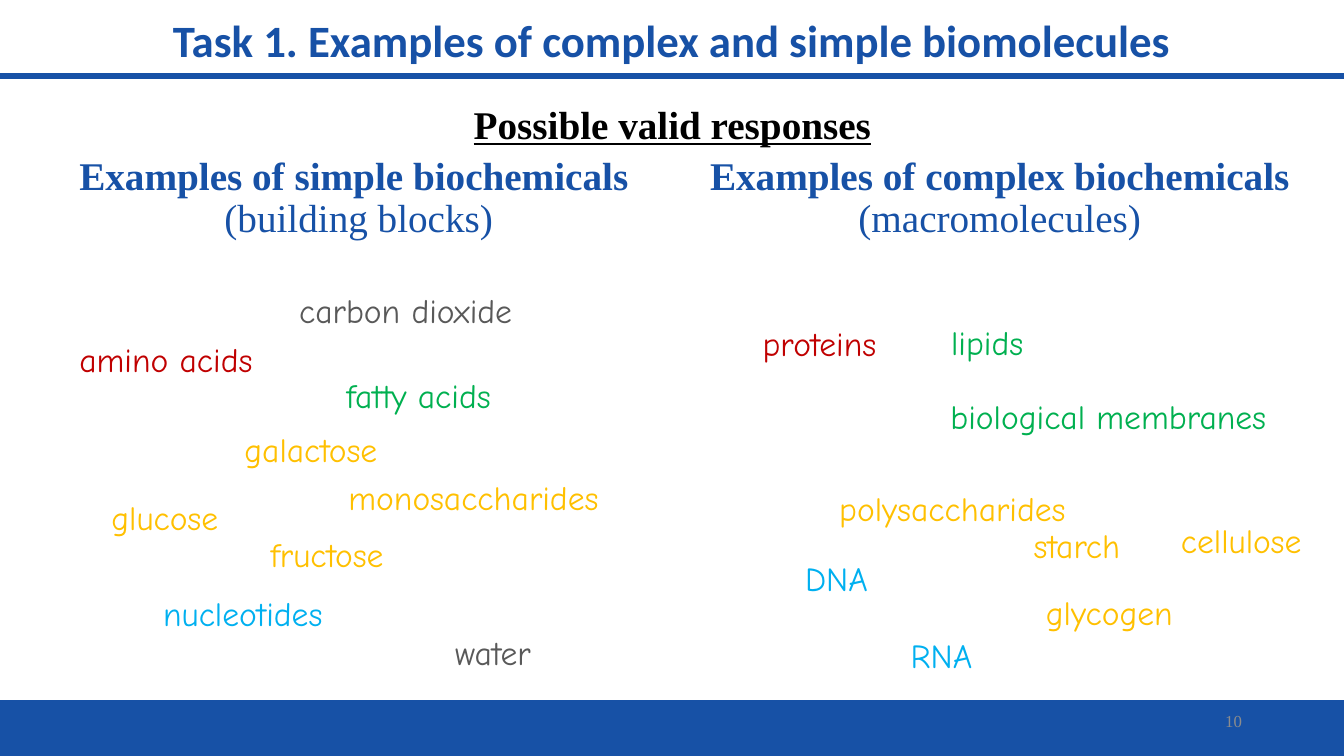
import pptx
import pptx.dml.color
import pptx.enum.shapes
import pptx.enum.text
import pptx.util

Cm = pptx.util.Cm
ALIGN = pptx.enum.text.PP_ALIGN
ANCHOR = pptx.enum.text.MSO_ANCHOR

WIDTH, HEIGHT = 33.87, 19.05
SERIF, SANS, HAND = "Times New Roman", "Calibri", "Comic Neue"
COLORS = {
    "brand": "1751A6",
    "heading": "000000",
    "page": "8C8C8C",
    "inorganic": "595959",
    "protein": "C00000",
    "lipid": "00B050",
    "sugar": "FFC000",
    "nucleic": "00B0F0",
}

# Each word: text, colour, left and top within its column, width (cm)
SIMPLE_WORDS = [
    ("carbon dioxide", "inorganic", 5.77, 3.38, 6.38),
    ("amino acids", "protein", 0.23, 4.6, 5.03),
    ("fatty acids", "lipid", 6.96, 5.51, 4.93),
    ("galactose", "sugar", 4.39, 6.88, 4.24),
    ("monosaccharides", "sugar", 7.01, 8.08, 7.21),
    ("glucose", "sugar", 1.04, 8.59, 3.43),
    ("fructose", "sugar", 5.05, 9.53, 3.99),
    ("nucleotides", "nucleic", 2.34, 11, 5.03),
    ("water", "inorganic", 9.7, 11.99, 2.82),
]
COMPLEX_WORDS = [
    ("proteins", "protein", 1.65, 4.19, 3.81),
    ("lipids", "lipid", 6.4, 4.17, 2.62),
    ("biological membranes", "lipid", 6.38, 6.05, 8.94),
    ("polysaccharides", "sugar", 3.58, 8.36, 6.81),
    ("starch", "sugar", 8.48, 9.3, 3.1),
    ("cellulose", "sugar", 12.19, 9.17, 3.91),
    ("DNA", "nucleic", 2.72, 10.13, 2.44),
    ("glycogen", "sugar", 8.79, 10.97, 3.91),
    ("RNA", "nucleic", 5.38, 12.07, 2.44),
]


def color(name):
    return pptx.dml.color.RGBColor.from_string(COLORS[name])


def write(shape, text, font, size, color_name, align=ALIGN.LEFT, bold=False):
    """Fill the shape with one formatted paragraph and return it."""
    paragraph = shape.text_frame.paragraphs[0]
    paragraph.text = text
    paragraph.alignment = align
    for run in paragraph.runs:
        run.font.name = font
        run.font.size = pptx.util.Pt(size)
        run.font.bold = bold
        run.font.color.rgb = color(color_name)
    return paragraph


def add_text_box(slide, box, wrap=True):
    shape = slide.shapes.add_textbox(*map(Cm, box))
    shape.text_frame.word_wrap = wrap
    if not wrap:
        shape.text_frame.auto_size = pptx.enum.text.MSO_AUTO_SIZE.SHAPE_TO_FIT_TEXT
    return shape


def add_bar(slide, box):
    bar = slide.shapes.add_shape(
        pptx.enum.shapes.MSO_SHAPE.RECTANGLE, *map(Cm, box))
    bar.shadow.inherit = False
    bar.fill.solid()
    bar.fill.fore_color.rgb = color("brand")
    bar.line.color.rgb = color("brand")
    bar.line.width = pptx.util.Pt(1)


def add_header(slide, box):
    left, top, width, height = box
    title = slide.shapes.title
    title.left, title.top, title.width, title.height = map(Cm, box)
    title.text_frame.vertical_anchor = ANCHOR.MIDDLE
    paragraph = write(title, "Task 1. Examples of complex and simple biomolecules",
                      SANS, 32, "brand", ALIGN.CENTER, bold=True)
    paragraph.line_spacing = 0.9
    add_bar(slide, (left, top + 2.61, width, 0.13))


def add_footer(slide, box):
    left, top, width, height = box
    add_bar(slide, box)
    number = add_text_box(slide, (left + 23.93, top, 7.62, 1.02))
    number.text_frame.vertical_anchor = ANCHOR.MIDDLE
    write(number, "10", SERIF, 12, "page", ALIGN.RIGHT)


def add_subtitle(slide, box):
    subtitle = add_text_box(slide, box, wrap=False)
    paragraph = write(subtitle, "Possible valid responses", SERIF, 28, "heading",
                      ALIGN.CENTER, bold=True)
    paragraph.runs[0].font.underline = True


def add_column(slide, box, heading, note, words):
    """Place a two-line heading and its scattered words inside the box."""
    left, top, width, height = box
    paragraph = write(add_text_box(slide, box), f"{heading}\v{note}",
                      SERIF, 28, "brand", ALIGN.CENTER, bold=True)
    paragraph.line_spacing = 0.9
    paragraph.space_before = pptx.util.Pt(10)
    paragraph.runs[-1].font.bold = False
    for text, color_name, x, y, word_width in words:
        word = add_text_box(slide, (left + x, top + y, word_width, 1.27), wrap=False)
        write(word, text, HAND, 24, color_name)


def main():
    presentation = pptx.Presentation()
    presentation.slide_width = Cm(WIDTH)
    presentation.slide_height = Cm(HEIGHT)
    slide = presentation.slides.add_slide(presentation.slide_layouts[5])
    add_header(slide, (0, -0.76, WIDTH, 3.68))
    add_footer(slide, (0, 17.65, WIDTH, 1.4))
    add_column(slide, (1.52, 3.81, 15.04, 13.36),
               "Examples of simple biochemicals ", "(building blocks)", SIMPLE_WORDS)
    add_column(slide, (17.32, 3.81, 15.75, 13.36),
               "Examples of complex biochemicals", "(macromolecules)", COMPLEX_WORDS)
    add_subtitle(slide, (11.61, 2.41, 10.67, 1.45))
    presentation.save("out.pptx")


if __name__ == "__main__":
    main()
